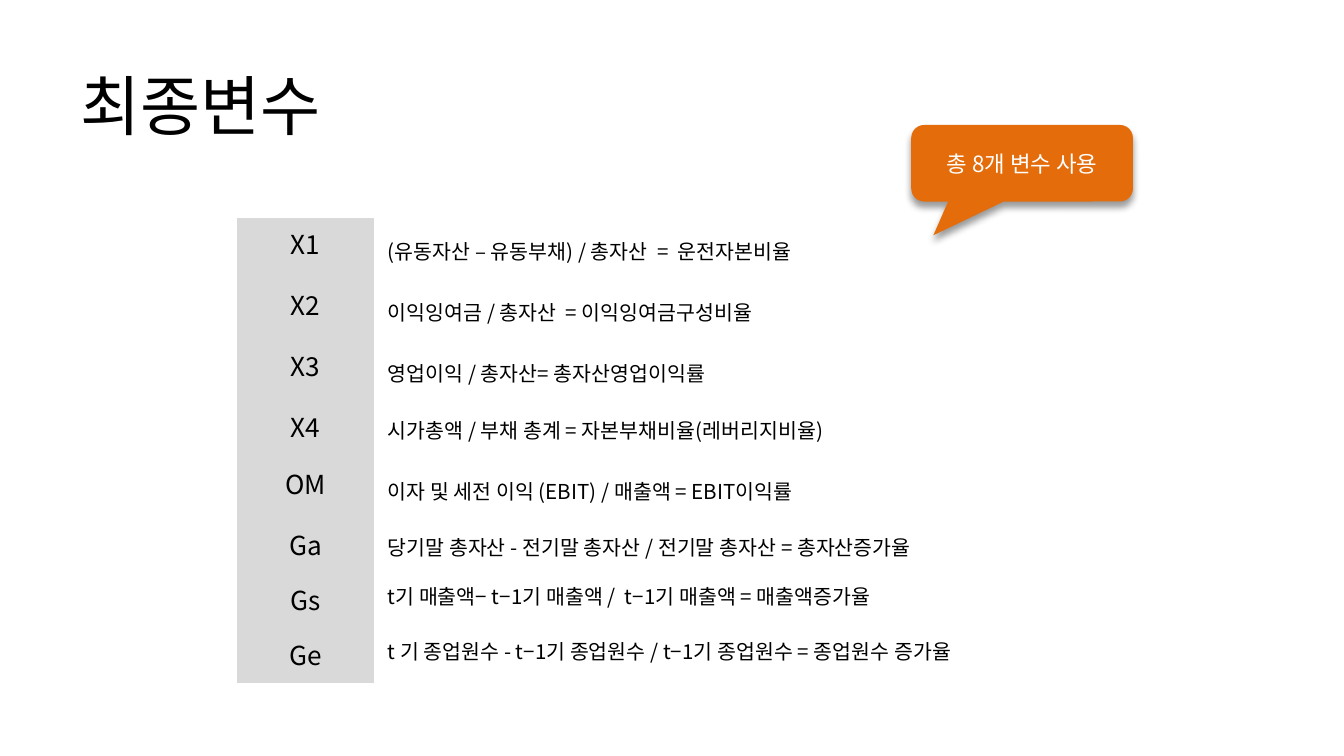
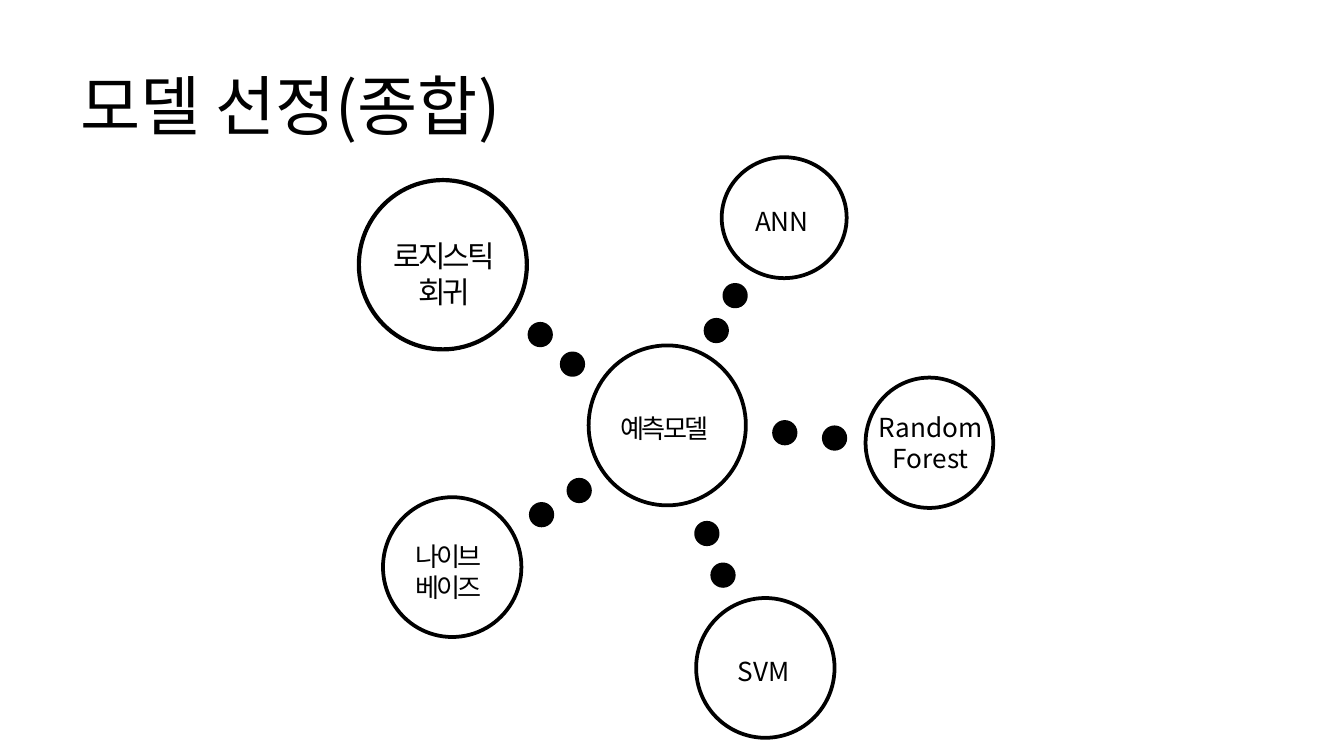
from lxml import etree
from pptx import Presentation
from pptx import util as u
from pptx.dml.color import RGBColor
from pptx.enum import shapes, text
from pptx.oxml import ns

COLORS = {"ink": "000000", "paper": "FFFFFF", "key": "D9D9D9", "accent": "E46C0A"}
FONT = "Noto Sans CJK KR"
LEFT, CENTER = text.PP_ALIGN.LEFT, text.PP_ALIGN.CENTER
MIDDLE, TOP = text.MSO_ANCHOR.MIDDLE, text.MSO_ANCHOR.TOP

presentation = Presentation()
presentation.slide_width = u.Inches(10)
presentation.slide_height = presentation.slide_width * 9 // 16
UNIT = presentation.slide_width / 100  # square grid, 100 columns across


def add_shape(slide, kind, box, fill=None, line=None):
    """Place a shape, or a text box when kind is None; box is in grid units."""
    place = [round(value * UNIT) for value in box]
    if kind is None:
        return slide.shapes.add_textbox(*place)
    shape = slide.shapes.add_shape(kind, *place)
    shape.shadow.inherit = False
    if fill:
        shape.fill.solid()
        shape.fill.fore_color.rgb = RGBColor.from_string(COLORS[fill])
    else:
        shape.fill.background()
    if line:
        shape.line.color.rgb = RGBColor.from_string(COLORS["ink"])
        shape.line.width = u.Pt(line)
    else:
        shape.line.fill.background()
    return shape


def write_text(frame, lines, size, color="ink", tracking=0, frame_format=None, **paragraph_format):
    for name, value in (frame_format or {}).items():
        setattr(frame, name, value)
    for index, line in enumerate(lines.split("\n")):
        paragraph = frame.add_paragraph() if index else frame.paragraphs[0]
        for name, value in paragraph_format.items():
            setattr(paragraph, name, value)
        run = paragraph.add_run()
        run.text = line
        for name, value in {"size": u.Pt(size), "name": FONT}.items():
            setattr(run.font, name, value)
        run.font.color.rgb = RGBColor.from_string(COLORS[color])
        properties = run.font._element
        etree.SubElement(properties, ns.qn("a:ea"), typeface=FONT)
        if tracking:
            properties.set("spc", str(round(tracking * 100)))


# Shared background and title
slides = []
for title in ("최종변수", "모델 선정(종합)"):
    slide = presentation.slides.add_slide(presentation.slide_layouts[6])
    slide.background.fill.solid()
    slide.background.fill.fore_color.rgb = RGBColor.from_string(COLORS["paper"])
    title_box = add_shape(slide, None, (5, 4, 90, 7.6))
    write_text(title_box.text_frame, title, 35,
               frame_format={"word_wrap": True, "vertical_anchor": MIDDLE})
    slides.append(slide)
variable_slide, model_slide = slides

# Variable table: name, formula, row height, line spacing, vertical padding, anchor
variables = [
    ("X1", "(유동자산 – 유동부채) / 총자산  =  운전자본비율", 4.54, 1.15, 1, MIDDLE),
    ("X2", "이익잉여금 / 총자산  = 이익잉여금구성비율", 4.54, 1.15, 1, MIDDLE),
    ("X3", "영업이익 / 총자산= 총자산영업이익률", 4.54, 1.15, 1, MIDDLE),
    ("X4", "시가총액 / 부채 총계 = 자본부채비율(레버리지비율)", 4.24, None, 1, MIDDLE),
    ("OM", "이자 및 세전 이익 (EBIT) / 매출액 = EBIT이익률", 4.54, 1.15, 1, MIDDLE),
    ("Ga", "당기말 총자산 - 전기말 총자산 / 전기말 총자산 = 총자산증가율", 4.08, None, 0.5, MIDDLE),
    ("Gs", "t기 매출액− t−1기 매출액 /  t−1기 매출액 = 매출액증가율", 4.08, None, 0.5, TOP),
    ("Ge", "t 기 종업원수 - t−1기 종업원수 / t−1기 종업원수 = 종업원수 증가율 ", 4.08, None, 0.5, TOP),
]
table_box = [round(value * UNIT) for value in (17.65, 16.2, 66.7, 32.6)]
table = variable_slide.shapes.add_table(len(variables), 2, *table_box).table
table.first_row = table.horz_banding = False
# Style without fills or grid lines
table._tbl.tblPr.find(ns.qn("a:tableStyleId")).text = "{2D5ABB26-0587-4C30-8999-92F81FD0307C}"
for column, width in zip(table.columns, (10.2, 56.5)):
    column.width = round(width * UNIT)
for row, (name, formula, height, spacing, padding, anchor) in enumerate(variables):
    table.rows[row].height = round(height * UNIT)
    name_cell, formula_cell = table.cell(row, 0), table.cell(row, 1)
    name_cell.fill.solid()
    name_cell.fill.fore_color.rgb = RGBColor.from_string(COLORS["key"])
    write_text(name_cell.text_frame, name, 14, alignment=CENTER)
    formula_cell.fill.background()
    formula_cell.vertical_anchor = anchor
    formula_cell.margin_top = formula_cell.margin_bottom = round(padding * UNIT)
    write_text(formula_cell.text_frame, formula, 11, line_spacing=spacing)

# Callout with a soft shadow below
callout = add_shape(variable_slide, shapes.MSO_SHAPE.ROUNDED_RECTANGULAR_CALLOUT,
                    (67.8, 9.3, 16.5, 5.7), fill="accent")
for index, value in enumerate((-0.4, 0.94, 0.17)):
    callout.adjustments[index] = value
write_text(callout.text_frame, "총 8개 변수 사용", 12, "paper",
           frame_format={"vertical_anchor": MIDDLE}, alignment=CENTER)
effects = callout._element.spPr.find(ns.qn("a:effectLst"))
shadow = etree.SubElement(effects, ns.qn("a:outerShdw"), blurRad=str(u.Pt(4)),
                          dist=str(u.Pt(3)), dir="5400000", rotWithShape="0")
shadow_color = etree.SubElement(shadow, ns.qn("a:srgbClr"), val=COLORS["ink"])
etree.SubElement(shadow_color, ns.qn("a:alpha"), val="40000")

# Model map: label, circle, line width, label box, size, tracking, alignment, dots to the hub
DOT = 1.6
models = [
    ("예측모델", (43.8, 25.7, 11.7, 11.9), 2, (45.2, 30.2, 8.6, 3.4), 14, -1.5, LEFT, []),
    ("로지스틱\n회귀", (26.7, 13.4, 12.5, 12.6), 2.25, (28.2, 17.2, 9.7, 6.4), 16, -1.5, CENTER,
     [(39.4, 24.1), (41.8, 26.3)]),
    ("나이브\n베이즈", (28.5, 37, 10.3, 10.4), 2, (29.9, 39.7, 7, 5.7), 14, -1.5, LEFT,
     [(39.5, 37.5), (42.3, 35.7)]),
    ("SVM", (51.8, 44.5, 10.3, 10.4), 2, (53.9, 48.3, 6.3, 3.4), 14, 0, LEFT,
     [(51.8, 38.9), (53, 42)]),
    ("Random\nForest", (64.4, 28.1, 9.5, 9.7), 2, (64.1, 30.1, 10.3, 5.7), 14, 0, CENTER,
     [(57.6, 31.4), (61.3, 31.8)]),
    ("ANN", (53.7, 11.7, 9.3, 9), 2, (55.2, 14.8, 6.4, 3.4), 14, 0, LEFT,
     [(52.5, 23.8), (53.9, 21.2)]),
]
for label, circle, line, label_box, size, tracking, alignment, dots in models:
    add_shape(model_slide, shapes.MSO_SHAPE.OVAL, circle, line=line)
    for left, top in dots:
        add_shape(model_slide, shapes.MSO_SHAPE.OVAL, (left, top, DOT, DOT), "ink", 2)
    label_shape = add_shape(model_slide, None, label_box)
    write_text(label_shape.text_frame, label, size, tracking=tracking, alignment=alignment,
               frame_format={"word_wrap": False,
                             "auto_size": text.MSO_AUTO_SIZE.SHAPE_TO_FIT_TEXT})

presentation.save("out.pptx")
